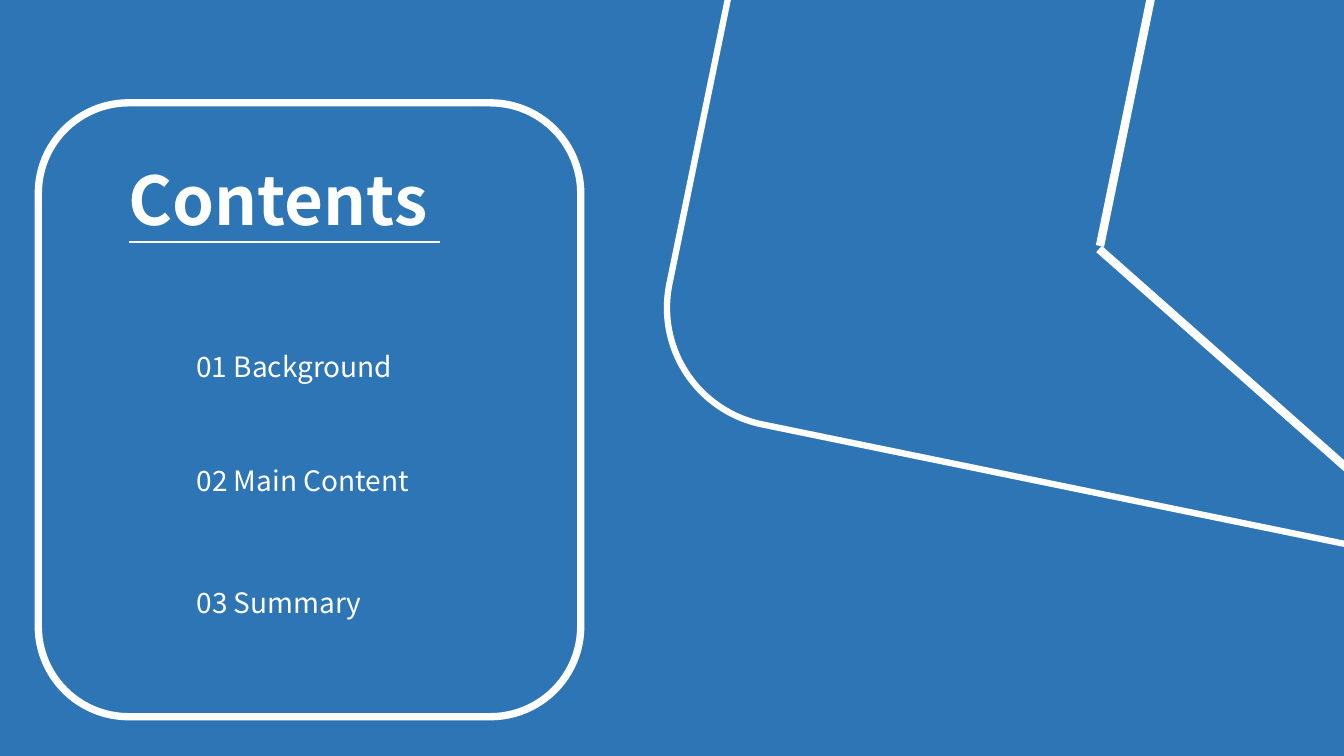
from lxml.etree import SubElement
from pptx import Presentation
from pptx.dml.color import RGBColor as RGB
from pptx.enum.shapes import MSO_CONNECTOR as CONN, MSO_SHAPE as SHAPE
from pptx.enum.text import MSO_ANCHOR as ANCHOR, MSO_AUTO_SIZE as FIT, PP_ALIGN as ALIGN
from pptx.oxml.ns import qn
from pptx.util import Inches, Pt

COLORS = {"blue": "2E75B6", "white": "FFFFFF"}


class ContentsSlide:
    font = "Noto Sans CJK SC"

    def __init__(self, prs):
        self.s = prs.slides.add_slide(prs.slide_layouts[5])
        fill = self.s.background.fill
        fill.solid()
        fill.fore_color.rgb = RGB.from_string(COLORS["blue"])

    def outline(self, sp, weight):
        sp.line.color.rgb = RGB.from_string(COLORS["white"])
        sp.line.width = Pt(weight)

    def frame(self, x, y, w, h, weight, angle=0):
        sp = self.s.shapes.add_shape(SHAPE.ROUNDED_RECTANGLE, Inches(x), Inches(y), Inches(w), Inches(h))
        sp.rotation = angle
        sp.shadow.inherit = False
        sp.fill.background()
        self.outline(sp, weight)

    def rule(self, x1, y1, x2, y2, weight):
        sp = self.s.shapes.add_connector(CONN.STRAIGHT, Inches(x1), Inches(y1), Inches(x2), Inches(y2))
        self.outline(sp, weight)
        SubElement(sp._element.spPr, qn("a:effectLst"))

    def set_text(self, sp, text, size, bold=False, align=ALIGN.LEFT, wrap=False):
        tf = sp.text_frame
        tf.word_wrap = wrap
        tf.auto_size = FIT.SHAPE_TO_FIT_TEXT
        tf.vertical_anchor = ANCHOR.TOP
        p = tf.paragraphs[0]
        p.alignment = align
        p.line_spacing = 1.0
        r = p.add_run()
        r.text = text
        r.font.name = self.font
        r.font.size = Pt(size)
        r.font.bold = bold
        r.font.color.rgb = RGB.from_string(COLORS["white"])

    def title(self, text, x, y, w, h):
        sp = self.s.shapes.title
        sp.left, sp.top, sp.width, sp.height = Inches(x), Inches(y), Inches(w), Inches(h)
        self.set_text(sp, text, 48, bold=True, align=ALIGN.CENTER)

    def item(self, text, x, y, w, h, wrap):
        sp = self.s.shapes.add_textbox(Inches(x), Inches(y), Inches(w), Inches(h))
        self.set_text(sp, text, 20, wrap=wrap)


def main():
    prs = Presentation()
    prs.slide_width, prs.slide_height = Inches(13.33), Inches(7.5)
    slide = ContentsSlide(prs)

    # Tilted envelope running off the top right corner
    slide.frame(7.03, -2.21, 8.21, 7.08, 4.5, angle=11.6)
    slide.rule(11.85, -2.14, 10.91, 2.44, 6)
    slide.rule(14.46, 5.62, 10.9, 2.47, 6)

    # Heading and agenda
    slide.title("Contents", 1.13, 1.52, 3.25, 0.91)
    agenda = [("01 Background", 3.42, 2.73, True),
              ("02 Main Content", 4.55, 2.45, False),
              ("03 Summary", 5.76, 1.98, False)]
    for text, y, w, wrap in agenda:
        slide.item(text, 1.85, y, w, 0.44, wrap)

    # Underline and card
    slide.rule(1.28, 2.4, 4.36, 2.4, 1.5)
    slide.frame(0.38, 1.02, 5.38, 6.09, 5.25)

    prs.save("out.pptx")


if __name__ == "__main__":
    main()
